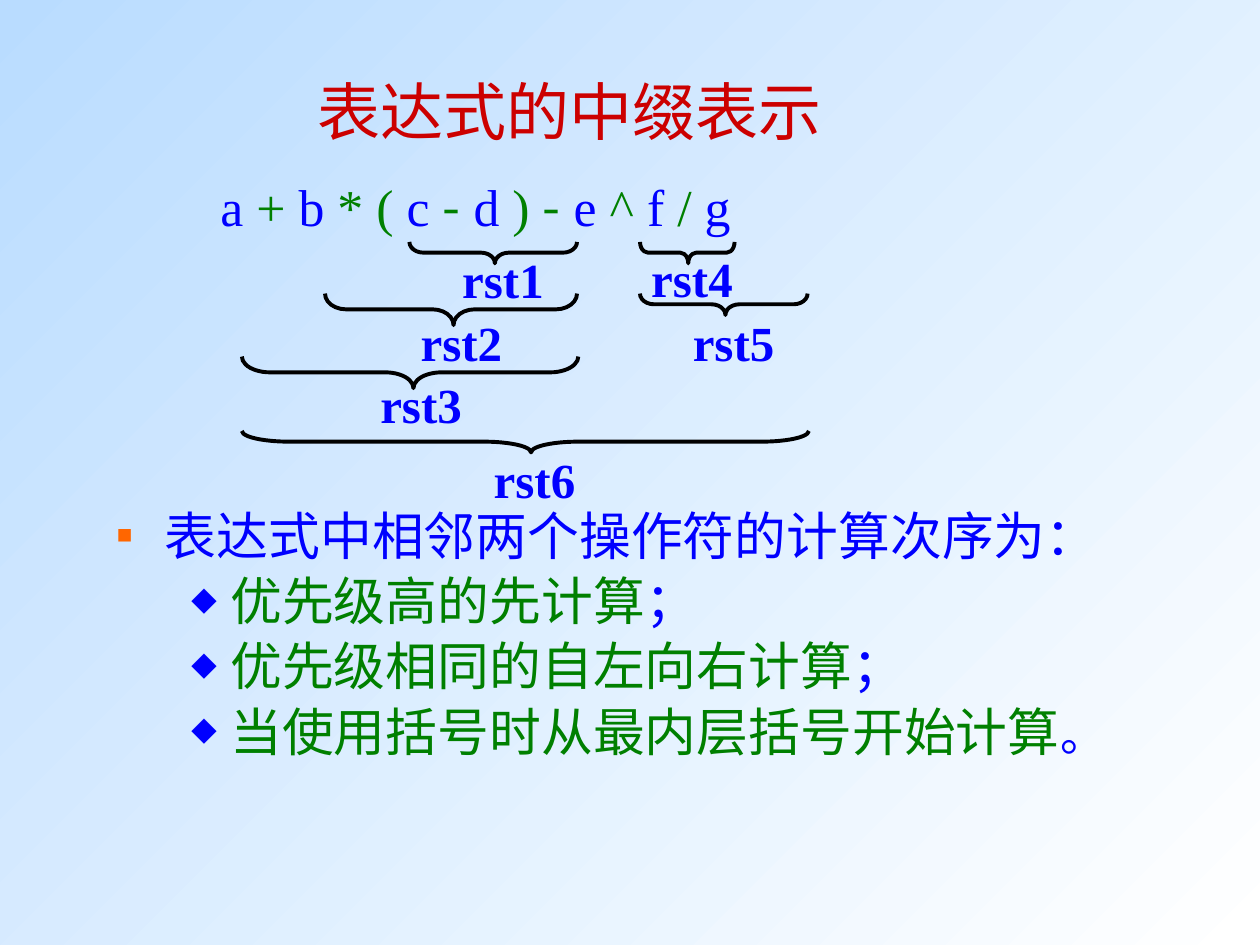
import pptx
import pptx.util
import pptx.dml.color
import pptx.enum.shapes
import pptx.enum.text
import lxml.etree

Inches, Pt = pptx.util.Inches, pptx.util.Pt
align = pptx.enum.text.PP_ALIGN
hues = {"red": "CC0000", "blue": "0000FF", "green": "008000", "black": "000000",
        "orange": "FF6600", "sky": "B9DCFF", "white": "FFFFFF"}


def paint(color, hue):
    color.rgb = pptx.dml.color.RGBColor.from_string(hues[hue])


def write(para, text, hue, **form):
    run = para.add_run()
    run.text = text
    for key, value in ({"name": "Times New Roman", "size": Pt(29.6)} | form).items():
        setattr(run.font, key, value)
    paint(run.font.color, hue)


deck = pptx.Presentation()
deck.slide_width, deck.slide_height = Inches(10), Inches(7.5)
slide = deck.slides.add_slide(deck.slide_layouts[5])
fill = slide.background.fill
fill.gradient()
fill.gradient_angle = 315
for stop, place, hue in zip(fill.gradient_stops, (0, 1), ("sky", "white")):
    stop.position = place
    paint(stop.color, hue)

title = slide.shapes.title
frame = {"left": 2.42, "top": 0.5, "width": 4.5, "height": 0.75}
for key, value in frame.items():
    setattr(title, key, Inches(value))
title.text_frame.vertical_anchor = pptx.enum.text.MSO_ANCHOR.MIDDLE
para = title.text_frame.paragraphs[0]
para.alignment = align.LEFT
write(para, "表达式的中缀表示", "red", size=Pt(36))

box = slide.shapes.add_textbox(Inches(1.65), Inches(1.34), Inches(7.68), Inches(0.6))
box.text_frame.word_wrap = True
para = box.text_frame.paragraphs[0]
para.line_spacing = Pt(35.3)
parts = ["a ", "+", " b ", "* (", " c ", "-", " d ", ") ", "-", " e ", "^", " f ", "/", " g"]
for part in parts:
    hue = "blue" if part.strip().isalpha() else "green"
    face = "Noto Sans CJK SC" if part == "-" else "Times New Roman"
    write(para, part, hue, name=face)

box = slide.shapes.add_textbox(Inches(0.83), Inches(3.95), Inches(8.5), Inches(2.53))
box.text_frame.word_wrap = True
rules = [
    ("表达式中相邻两个操作符的计算次序为", "：", 0, 29.6),
    ("优先级高的先计算", "；", 1, 29.6),
    ("优先级相同的自左向右计算", "；", 1, 29.6),
    ("当使用括号时从最内层括号开始计算", "。", 1, 25.9),
]
looks = [("blue", "orange", "■", "Times New Roman", 0.38, -0.38),
         ("green", "blue", "◆", "Noto Sans CJK SC", 0.9, -0.31)]
space = "http://schemas.openxmlformats.org/drawingml/2006/main"
for i, (text, mark, level, size) in enumerate(rules):
    para = box.text_frame.paragraphs[0] if i == 0 else box.text_frame.add_paragraph()
    hue, tint, sign, face, left, hang = looks[level]
    form = {"level": level, "alignment": align.JUSTIFY, "line_spacing": Pt(35.3),
            "space_before": Pt(2 if i else 0)}
    for key, value in form.items():
        setattr(para, key, value)
    props = para._p.get_or_add_pPr()
    props.set("marL", str(Inches(left)))
    props.set("indent", str(Inches(hang)))
    shade = lxml.etree.SubElement(props, f"{{{space}}}buClr")
    lxml.etree.SubElement(shade, f"{{{space}}}srgbClr", val=hues[tint])
    lxml.etree.SubElement(props, f"{{{space}}}buSzPct", val="50000")
    lxml.etree.SubElement(props, f"{{{space}}}buFont", typeface=face)
    lxml.etree.SubElement(props, f"{{{space}}}buChar", char=sign)
    write(para, text, hue)
    write(para, mark, "blue", size=Pt(size))

spans = [
    ("rst1", 3.25, 1.92, 1.33, 0.17, 3.57, 1.93),
    ("rst2", 2.58, 2.33, 2, 0.25, 3.24, 2.43),
    ("rst3", 1.92, 2.83, 2.67, 0.25, 2.92, 2.92),
    ("rst4", 5.08, 1.92, 0.75, 0.17, 5.07, 1.92),
    ("rst5", 5.08, 2.33, 1.33, 0.17, 5.4, 2.43),
    ("rst6", 1.92, 3.42, 4.5, 0.17, 3.82, 3.52),
]
for label, left, top, length, depth, x, y in spans:
    shift = (length - depth) / 2
    brace = slide.shapes.add_shape(
        pptx.enum.shapes.MSO_SHAPE.LEFT_BRACE,
        Inches(left + shift), Inches(top - shift), Inches(depth), Inches(length))
    brace.rotation = 270
    brace.adjustments[0] = length / 12 / depth
    brace.adjustments[1] = 0.51
    brace.shadow.inherit = False
    brace.fill.background()
    paint(brace.line.color, "black")
    brace.line.width = Pt(2.25)
    box = slide.shapes.add_textbox(Inches(x), Inches(y), Inches(0.85), Inches(0.57))
    box.text_frame.word_wrap = False
    box.text_frame.auto_size = pptx.enum.text.MSO_AUTO_SIZE.SHAPE_TO_FIT_TEXT
    write(box.text_frame.paragraphs[0], label, "blue", size=Pt(28), bold=True)

deck.save("out.pptx")
